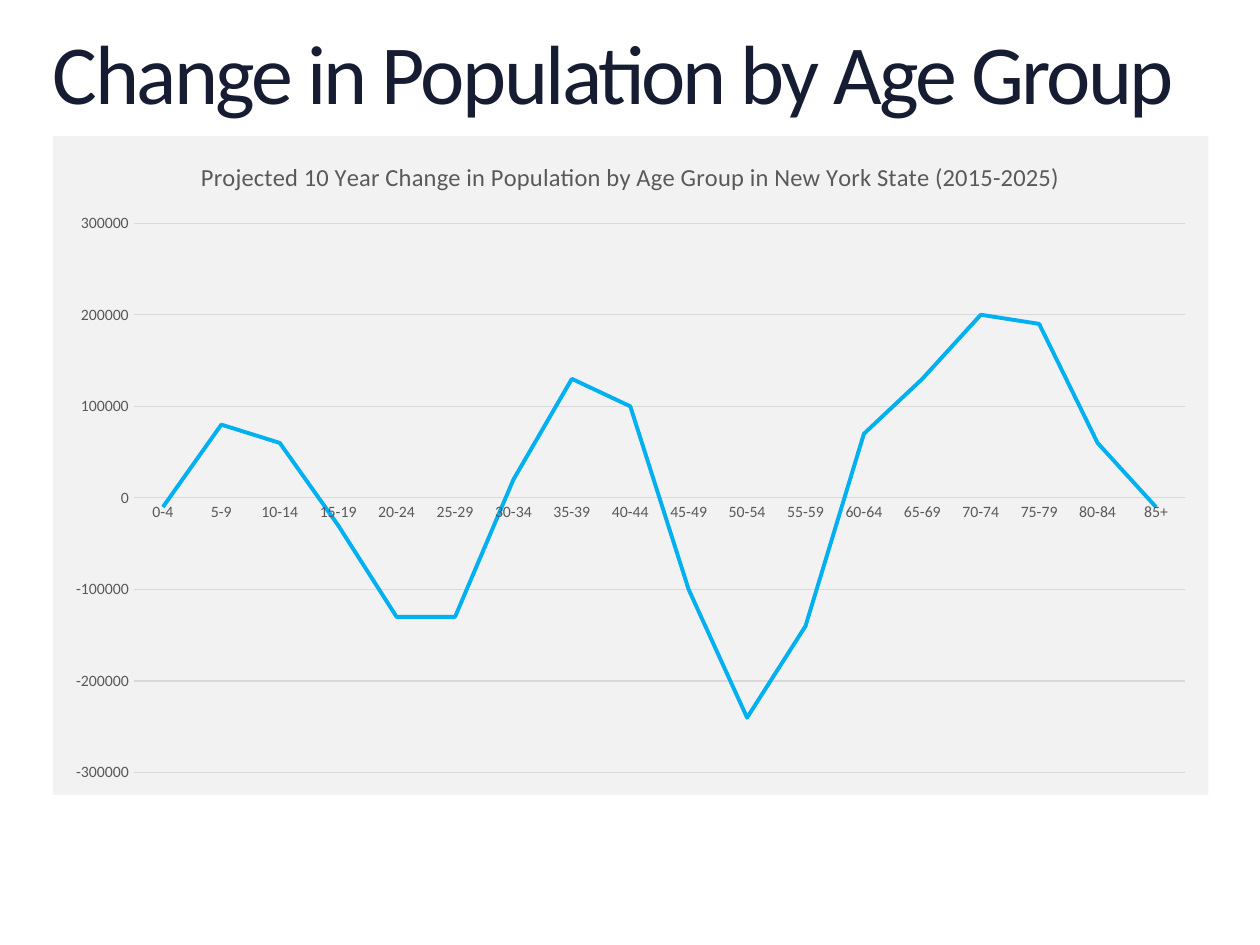
from dataclasses import dataclass

from lxml import etree
from pptx import Presentation
from pptx import util as u
from pptx.chart import data as chart_data
from pptx.dml.color import RGBColor
from pptx.enum import chart as charts
from pptx.enum import text
from pptx.oxml import parse_xml
from pptx.oxml.ns import nsdecls


@dataclass(frozen=True)
class Theme:
    font: str = "Calibri"
    heading: str = "161D32"
    label: str = "595959"
    grid: str = "D9D9D9"
    panel: str = "F2F2F2"
    trend: str = "00B0F0"
    heading_size: int = 48
    chart_title_size: int = 14
    label_size: int = 9


THEME = Theme()
LEFT, WIDTH = u.Inches(0.42), u.Inches(9.17)
AGE_GROUPS = [f"{age}-{age + 4}" for age in range(0, 85, 5)] + ["85+"]
POPULATION_CHANGE = [
    -10000, 80000, 60000, -30000, -130000, -130000,
    20000, 130000, 100000, -100000, -240000, -140000,
    70000, 130000, 200000, 190000, 60000, -10000,
]


def apply(target, values):
    for name, value in values.items():
        setattr(target, name, value)


def style_font(font, size, color):
    apply(font, {"name": THEME.font, "size": u.Pt(size), "bold": False})
    font.color.rgb = RGBColor.from_string(color)


def style_line(line, color, width):
    line.color.rgb = RGBColor.from_string(color)
    line.width = u.Pt(width)


def add_heading(slide, wording):
    heading = slide.shapes.title
    apply(heading, {"left": LEFT, "top": u.Inches(0.25),
                    "width": WIDTH, "height": u.Inches(0.73)})
    frame = heading.text_frame
    apply(frame, {"margin_left": 0, "margin_right": 0,
                  "margin_top": 0, "margin_bottom": 0, "word_wrap": True,
                  "auto_size": text.MSO_AUTO_SIZE.SHAPE_TO_FIT_TEXT,
                  "vertical_anchor": text.MSO_ANCHOR.TOP})
    line = frame.paragraphs[0]
    apply(line, {"alignment": text.PP_ALIGN.LEFT, "line_spacing": 0.9})
    run = line.add_run()
    run.text = wording
    style_font(run.font, THEME.heading_size, THEME.heading)
    run.font._element.set("spc", "-150")


def fill_panel(chart):
    panel = parse_xml(
        f'<c:spPr {nsdecls("c", "a")}><a:solidFill>'
        f'<a:srgbClr val="{THEME.panel}"/></a:solidFill></c:spPr>')
    outline = etree.SubElement(panel, "{http://schemas.openxmlformats.org/drawingml/2006/main}ln")
    etree.SubElement(outline, "{http://schemas.openxmlformats.org/drawingml/2006/main}noFill")
    chart._chartSpace.chart.addnext(panel)


def style_axes(chart):
    ages, change = chart.category_axis, chart.value_axis
    for axis in (ages, change):
        apply(axis, {"major_tick_mark": charts.XL_TICK_MARK.NONE,
                     "minor_tick_mark": charts.XL_TICK_MARK.NONE,
                     "tick_label_position": charts.XL_TICK_LABEL_POSITION.NEXT_TO_AXIS})
        style_font(axis.tick_labels.font, THEME.label_size, THEME.label)
    style_line(ages.format.line, THEME.grid, 0.75)
    apply(change, {"minimum_scale": -300000, "maximum_scale": 300000,
                   "major_unit": 100000, "has_major_gridlines": True})
    style_line(change.major_gridlines.format.line, THEME.grid, 0.75)
    change.format.line.fill.background()
    apply(change.tick_labels, {"number_format": "General",
                               "number_format_is_linked": False})


def add_population_chart(slide, caption):
    population = chart_data.CategoryChartData()
    population.categories = AGE_GROUPS
    population.add_series("Series 1", POPULATION_CHANGE)
    chart = slide.shapes.add_chart(
        charts.XL_CHART_TYPE.LINE, LEFT, u.Inches(1.08), WIDTH,
        u.Inches(5.23), population).chart
    apply(chart, {"has_legend": False, "has_title": True})
    apply(chart.font, {"name": THEME.font, "size": u.Pt(10)})
    fill_panel(chart)
    style_axes(chart)

    title = chart.chart_title
    title.include_in_layout = False
    title.text_frame.text = caption
    style_font(title.text_frame.paragraphs[0].runs[0].font,
               THEME.chart_title_size, THEME.label)

    chart.plots[0].vary_by_categories = False
    trend = chart.plots[0].series[0]
    trend.smooth = False
    trend.marker.style = charts.XL_MARKER_STYLE.NONE
    style_line(trend.format.line, THEME.trend, 2.25)


def main():
    deck = Presentation()
    apply(deck, {"slide_width": u.Inches(10), "slide_height": u.Inches(7.5)})
    slide = deck.slides.add_slide(deck.slide_layouts[5])
    add_heading(slide, "Change in Population by Age Group")
    add_population_chart(
        slide,
        "Projected 10 Year Change in Population by Age Group in New York State (2015-2025)")
    deck.save("out.pptx")


if __name__ == "__main__":
    main()
